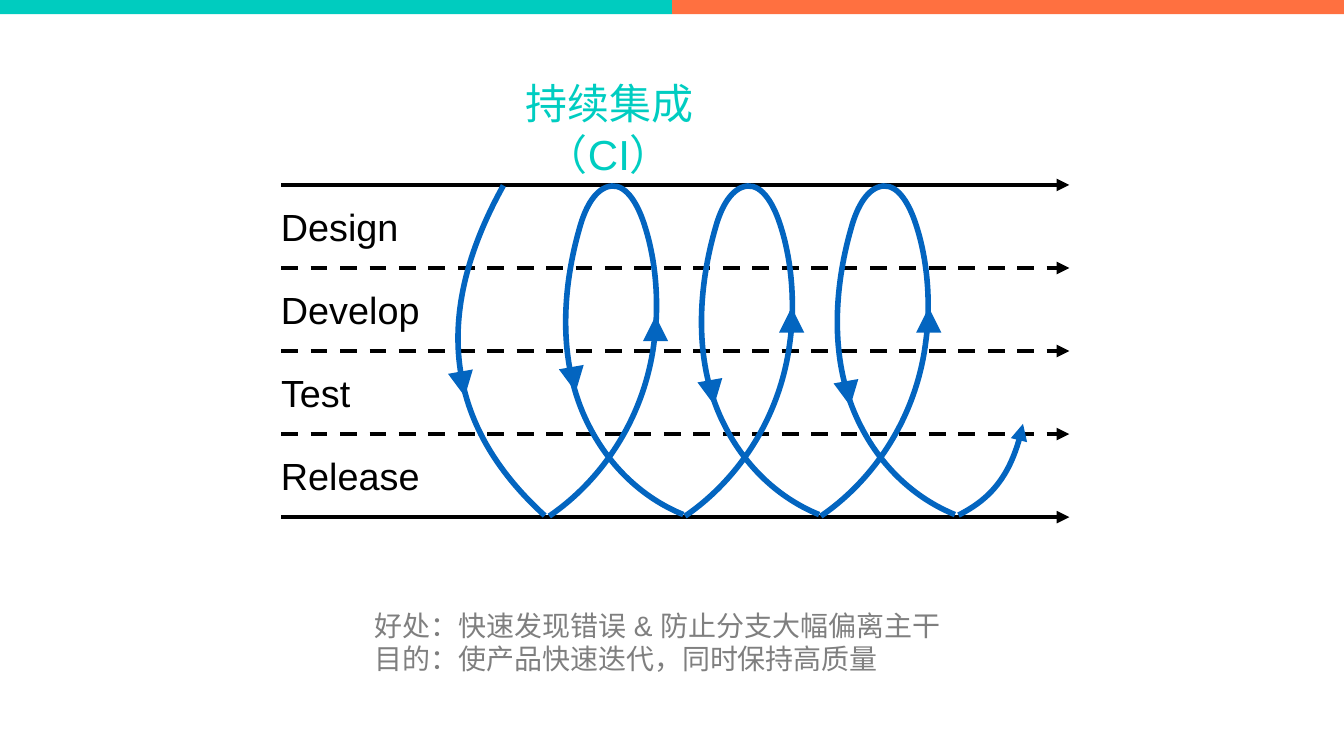
from dataclasses import dataclass

from lxml import etree
from pptx import Presentation
from pptx.dml.color import RGBColor
from pptx.enum import dml, shapes, text
from pptx.oxml import ns
from pptx.util import Inches, Pt


@dataclass(frozen=True)
class Theme:
    """Colours, font and sizes of the slide."""
    teal: str = "00CCBF"
    orange: str = "FF7040"
    title: str = "00CDC1"
    blue: str = "0365C0"
    black: str = "000000"
    gray: str = "7F7F7F"
    font: str = "Arial"
    head: int = 60
    label: int = 54
    note: int = 40
    rule: int = 6
    curve: int = 8


THEME = Theme()
STAGES = [("Design", 2.5), ("Develop", 2.92), ("Test", 1.55), ("Release", 2.92)]
NOTES = ["好处：快速发现错误 & 防止分支大幅偏离主干", "目的：使产品快速迭代，同时保持高质量"]
LOOP = [(0, 6.55), (1.04, 5.84), (1.89, 4.61), (2.08, 3.1),
        (2.18, 2.39), (2.13, 1.55), (1.91, 0.84),
        (1.77, 0.37), (1.54, -0.02), (1.24, 0),
        (0.93, 0.03), (0.72, 0.4), (0.6, 0.84),
        (0.27, 1.99), (0.13, 3.52), (0.81, 4.8),
        (1.21, 5.57), (1.85, 6.19), (2.66, 6.52)]
ENTRY = [(5.23, 6.56), (3.25, 4.76), (2.98, 2.58), (4.41, 0.01)]
EXIT = [(14.72, 4.74), (14.55, 5.6), (14.12, 6.21), (13.44, 6.55)]
UPS = [(7.18, 2.6), (9.88, 2.43), (12.6, 2.43)]
DOWNS = [(3.35, 3.7), (5.55, 3.61), (8.3, 3.87), (11, 3.89)]


def tint(hue):
    """Turn a hex string into a colour."""
    return RGBColor.from_string(hue)


def place(shape, box):
    """Move and size a shape to a box in inches."""
    shape.left, shape.top, shape.width, shape.height = map(Inches, box)


def write(shape, lines, size, hue, align, inset, wrap, anchor):
    """Fill a shape with paragraphs of one style."""
    frame = shape.text_frame
    frame.text = "\n".join(lines)
    frame.auto_size = text.MSO_AUTO_SIZE.NONE
    frame.word_wrap, frame.vertical_anchor = wrap, anchor
    frame.margin_left = frame.margin_right = Inches(inset)
    frame.margin_top = frame.margin_bottom = Inches(inset)
    for para in frame.paragraphs:
        props = para._p.get_or_add_pPr()
        props.set("marL", "0")
        props.set("indent", "0")
        etree.SubElement(props, ns.qn("a:buNone"))
        para.alignment, para.space_before = align, Pt(0)
        font = para.font
        font.name, font.size, font.color.rgb = THEME.font, Pt(size), tint(hue)
        east = etree.SubElement(font._element, ns.qn("a:ea"))
        east.set("typeface", THEME.font)


def block(parts, kind, box, hue):
    """Add a flat filled preset shape."""
    shape = parts.add_shape(kind, *map(Inches, box))
    shape.shadow.inherit = False
    shape.fill.solid()
    shape.fill.fore_color.rgb = tint(hue)
    shape.line.fill.background()
    return shape


def stroke(shape, hue, width, end=None):
    """Style a line, with an arrowhead at headEnd or tailEnd."""
    line = shape.line
    line.color.rgb, line.width = tint(hue), Pt(width)
    if end:
        tip = etree.SubElement(line._get_or_add_ln(), ns.qn(f"a:{end}"))
        tip.set("type", "triangle")


def rule(parts, x, y, width, dashed):
    """Add one horizontal arrow."""
    line = parts.add_connector(
        shapes.MSO_CONNECTOR.STRAIGHT, *map(Inches, (x, y, x + width, y)))
    if dashed:
        line.line.dash_style = dml.MSO_LINE.DASH
    stroke(line, THEME.black, THEME.rule, "tailEnd")
    etree.SubElement(line._element.spPr, ns.qn("a:effectLst"))


def span(knots, axis, steps=50):
    """Return the least and greatest reach of cubic curves on an axis."""
    reach = []
    for i in range(0, len(knots) - 1, 3):
        a, b, c, d = (knot[axis] for knot in knots[i:i + 4])
        for n in range(steps + 1):
            t = n / steps
            u = 1 - t
            reach.append(a * u**3 + 3 * b * t * u * u + 3 * c * t * t * u + d * t**3)
    return min(reach), max(reach)


def curve(parts, x, y, knots, end=None):
    """Draw an open cubic curve offset from a corner."""
    (left, right), (top, foot) = span(knots, 0), span(knots, 1)
    pen = parts.build_freeform(Inches(x + left), Inches(y + top))
    pen.add_line_segments([(Inches(x + right), Inches(y + foot))], close=False)
    shape = pen.convert_to_shape()
    track = next(shape._element.iter(ns.qn("a:path")))
    for child in list(track):
        track.remove(child)
    for i, (a, b) in enumerate(knots):
        if i == 0:
            step = etree.SubElement(track, ns.qn("a:moveTo"))
        elif i % 3 == 1:
            step = etree.SubElement(track, ns.qn("a:cubicBezTo"))
        spot = etree.SubElement(step, ns.qn("a:pt"))
        spot.set("x", str(Inches(a - left)))
        spot.set("y", str(Inches(b - top)))
    shape.shadow.inherit = False
    shape.fill.background()
    stroke(shape, THEME.blue, THEME.curve, end)


def banner(slide, box):
    """Draw the two-colour strip."""
    x, y, width, height = box
    half = width / 2
    for i, hue in enumerate((THEME.teal, THEME.orange)):
        block(slide.shapes, shapes.MSO_SHAPE.RECTANGLE,
              (x + i * half, y, half, height), hue)


def heading(slide, box):
    """Set the title in the left part of its box."""
    title = slide.shapes.title
    place(title, box)
    write(title, ["持续集成（CI）"], THEME.head, THEME.title,
          text.PP_ALIGN.CENTER, 0.08, True, text.MSO_ANCHOR.TOP)
    title.text_frame.margin_right = Inches(2.57)


def notes(slide, box):
    """Set the benefit and the goal."""
    body = slide.placeholders[1]
    place(body, box)
    write(body, NOTES, THEME.note, THEME.gray,
          text.PP_ALIGN.LEFT, 0.05, True, text.MSO_ANCHOR.TOP)


def cycle(slide, box):
    """Draw the stages and the loops through them."""
    x, y, width, height = box
    parts = slide.shapes.add_group_shape().shapes
    count = len(STAGES)
    row = height / count
    for i in range(count + 1):
        rule(parts, x, y + i * row, width, 0 < i < count)
    for i, (name, wide) in enumerate(STAGES):
        label = parts.add_textbox(
            *map(Inches, (x - 0.09, y + 0.29 + i * row, wide, 1.06)))
        write(label, [name], THEME.label, THEME.black,
              text.PP_ALIGN.CENTER, 0.08, False, text.MSO_ANCHOR.MIDDLE)
    for i in range(3):
        curve(parts, x + 5.32 + i * 2.695, y + 0.02, LOOP)
    curve(parts, x, y, ENTRY)
    curve(parts, x, y, EXIT, "headEnd")
    for spots, turn in ((UPS, 0), (DOWNS, 170)):
        for a, b in spots:
            tip = block(parts, shapes.MSO_SHAPE.ISOSCELES_TRIANGLE,
                        (x + a, y + b, 0.5, 0.5), THEME.blue)
            tip.rotation = turn


def main():
    """Build and save the slide."""
    deck = Presentation()
    deck.slide_width, deck.slide_height = Inches(26.67), Inches(15)
    slide = deck.slides.add_slide(deck.slide_layouts[1])
    banner(slide, (0, 0, 26.67, 0.28))
    notes(slide, (7.38, 12.02, 11.43, 1.66))
    cycle(slide, (5.58, 3.67, 15.64, 6.59))
    heading(slide, (10.33, 1.46, 6, 1.32))
    deck.save("out.pptx")


if __name__ == "__main__":
    main()
